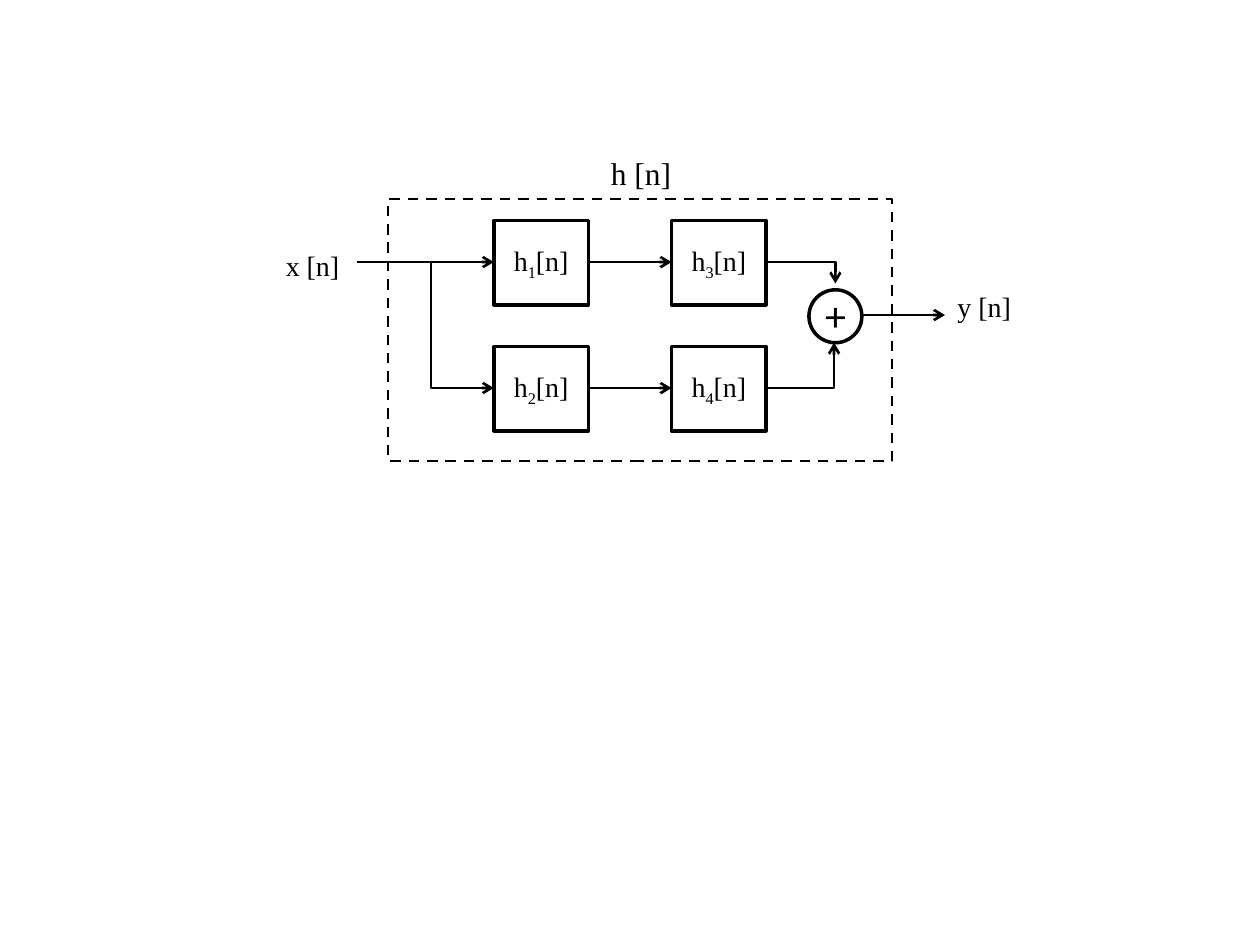
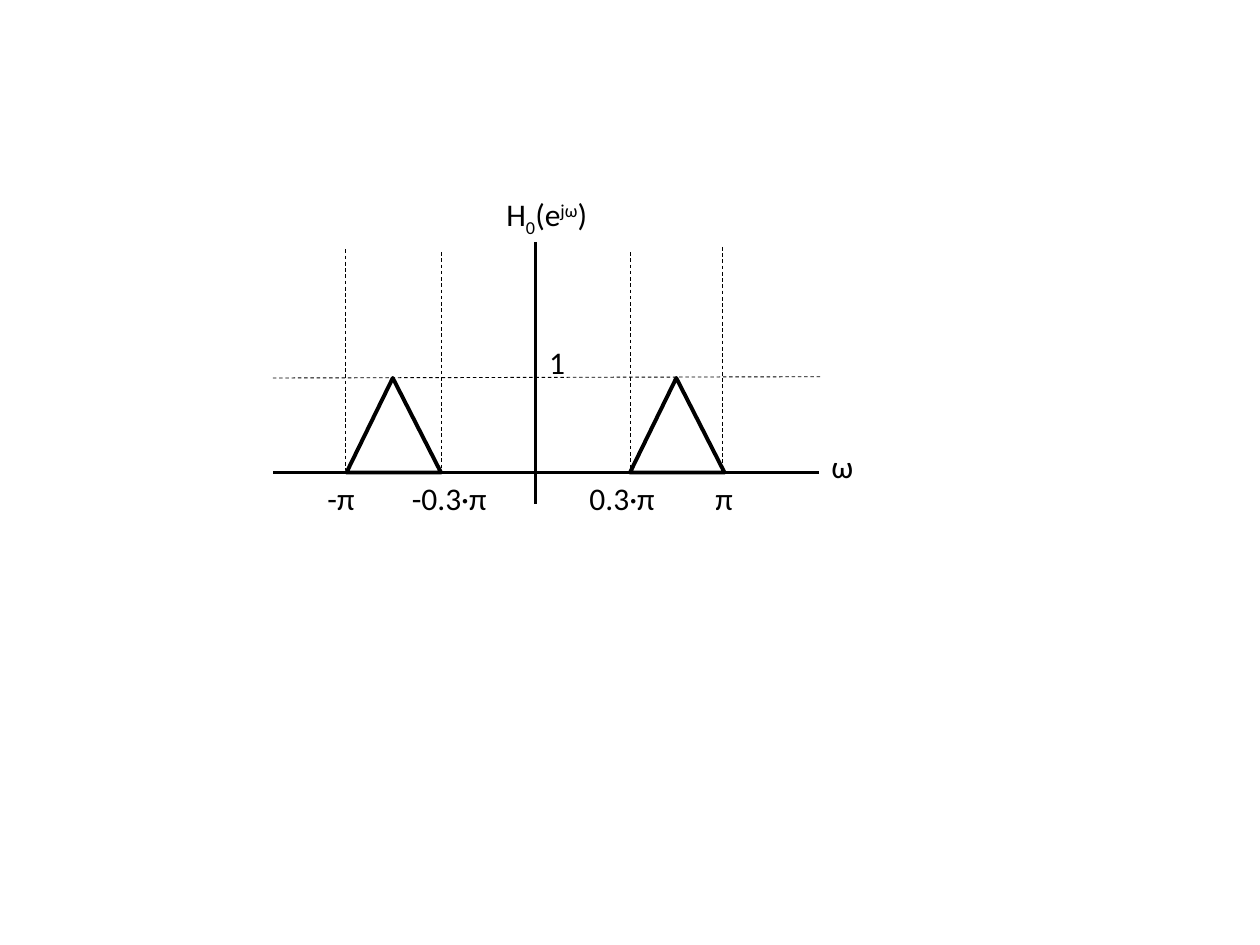
from dataclasses import dataclass
from typing import Optional

from lxml.etree import SubElement
from pptx import Presentation
from pptx.dml.color import RGBColor
from pptx.enum.dml import MSO_LINE
from pptx.enum.shapes import MSO_CONNECTOR, MSO_SHAPE
from pptx.enum.text import MSO_ANCHOR, MSO_AUTO_SIZE, PP_ALIGN
from pptx.oxml.ns import qn
from pptx.util import Inches, Pt

INK = "000000"
PAPER = "FFFFFF"
SERIF = "Times New Roman"
SANS = "Calibri"
SUB = -25
SUPER = 30


@dataclass
class Bit:
    text: str
    base: int = 0


@dataclass
class Label:
    left: float
    top: float
    width: float
    bits: list[Bit]
    size: int = 18
    font: str = SANS
    height: float = 0.4
    wrap: bool = False


@dataclass
class Wire:
    start: tuple[float, float]
    end: tuple[float, float]
    weight: float = 1.5
    dash: bool = False
    arrow: Optional[str] = None
    bent: bool = False


@dataclass
class Block:
    kind: MSO_SHAPE
    left: float
    top: float
    width: float
    height: float
    weight: float = 2
    dash: bool = False
    fill: Optional[str] = None


def paint(target, shade: str) -> None:
    """Give a fill a solid colour."""
    target.solid()
    target.fore_color.rgb = RGBColor.from_string(shade)


def stroke(line, weight: float, dash: bool) -> None:
    """Style a line with the shared ink."""
    paint(line.fill, INK)
    line.width = Pt(weight)
    if dash:
        line.dash_style = MSO_LINE.DASH


def write(para, bits: list[Bit], size: int, font: str) -> None:
    """Add the runs of a formula, raised or lowered where needed."""
    for bit in bits:
        run = para.add_run()
        run.text = bit.text
        run.font.size = Pt(size)
        run.font.name = font
        paint(run.font.fill, INK)
        if bit.base:
            run._r.get_or_add_rPr().set("baseline", str(bit.base * 1000))


def add_label(slide, label: Label) -> None:
    """Place a free text label."""
    box = slide.shapes.add_textbox(Inches(label.left), Inches(label.top),
                                   Inches(label.width), Inches(label.height))
    frame = box.text_frame
    frame.word_wrap = label.wrap
    frame.auto_size = MSO_AUTO_SIZE.SHAPE_TO_FIT_TEXT
    write(frame.paragraphs[0], label.bits, label.size, label.font)


def add_wire(slide, wire: Wire) -> None:
    """Draw a straight or one-bend line; a bend runs sideways first."""
    kind = MSO_CONNECTOR.ELBOW if wire.bent else MSO_CONNECTOR.STRAIGHT
    link = slide.shapes.add_connector(kind, *map(Inches, wire.start + wire.end))
    stroke(link.line, wire.weight, wire.dash)
    props = link._element.spPr
    if wire.bent:
        props.find(qn("a:prstGeom")).set("prst", "bentConnector2")
    if wire.arrow:
        SubElement(props.find(qn("a:ln")), qn(f"a:{wire.arrow}")).set("type", "arrow")
    SubElement(props, qn("a:effectLst"))


def add_block(slide, block: Block):
    """Draw an outlined shape and return it."""
    shape = slide.shapes.add_shape(block.kind, Inches(block.left), Inches(block.top),
                                   Inches(block.width), Inches(block.height))
    shape.shadow.inherit = False
    if block.fill:
        paint(shape.fill, block.fill)
    else:
        shape.fill.background()
    stroke(shape.line, block.weight, block.dash)
    return shape


def draw_system(slide) -> None:
    """Draw the block diagram of the parallel filter branches."""
    cols, rows = (3.92, 5.33), (1.75, 2.75)
    wide, high = 0.75, 0.67
    for i, left in enumerate(cols):
        for j, top in enumerate(rows):
            shape = add_block(slide, Block(MSO_SHAPE.RECTANGLE, left, top, wide, high))
            frame = shape.text_frame
            frame.vertical_anchor = MSO_ANCHOR.MIDDLE
            para = frame.paragraphs[0]
            para.alignment = PP_ALIGN.CENTER
            index = str(2 * i + j + 1)
            write(para, [Bit("h"), Bit(index, SUB), Bit("[n]")], 16, SERIF)

    upper, lower = (top + 0.33 for top in rows)
    gap, out = cols[0] + wide, cols[1] + wide
    wires = [
        Wire((2.83, upper), (cols[0], upper), arrow="tailEnd"),
        *(Wire((gap, y), (cols[1], y), arrow="tailEnd") for y in (upper, lower)),
        Wire((cols[0], lower), (3.42, upper), arrow="headEnd", bent=True),
        Wire((out, upper), (6.63, 2.25), arrow="tailEnd", bent=True),
        Wire((out, lower), (6.62, 2.72), arrow="tailEnd", bent=True),
        Wire((6.83, 2.5), (7.5, 2.5), arrow="tailEnd"),
    ]
    for wire in wires:
        add_wire(slide, wire)

    add_label(slide, Label(6.45, 2.25, 0.37, [Bit("+")], 24, height=0.5))
    add_block(slide, Block(MSO_SHAPE.OVAL, 6.42, 2.3, 0.42, 0.42))
    add_block(slide, Block(MSO_SHAPE.RECTANGLE, 3.08, 1.58, 4, 2.08, 1.5, True))
    add_label(slide, Label(2.17, 1.92, 0.66, [Bit("x [n]")], 16, SERIF, 0.37))
    add_label(slide, Label(7.5, 2.25, 0.66, [Bit("y [n]")], 16, SERIF, 0.37))
    add_label(slide, Label(4.75, 1.17, 0.72, [Bit("h [n]")], 18, SERIF))


def draw_graph(slide) -> None:
    """Draw the frequency response with its two triangular bands."""
    for left in (2.75, 5):
        peak = add_block(slide, Block(MSO_SHAPE.ISOSCELES_TRIANGLE, left, 3, 0.75, 0.75,
                                      2.25, fill=PAPER))
        peak.adjustments[0] = 0.49

    base = 3.75
    add_wire(slide, Wire((6.5, base), (2.17, base)))
    add_wire(slide, Wire((4.25, 1.92), (4.25, 4)))
    add_wire(slide, Wire((6.51, 2.99), (2.15, 3), 0.5, True))
    for x, top in ((2.74, 1.98), (3.5, 2), (5, 2), (5.73, 1.96)):
        add_wire(slide, Wire((x, top), (x, top + 1.75), 0.5, True))

    title = [Bit("H"), Bit("0", SUB), Bit("(e"), Bit("jω", SUPER), Bit(")")]
    add_label(slide, Label(3.92, 1.5, 1.08, title, wrap=True))
    add_label(slide, Label(6.5, 3.5, 0.38, [Bit("ω")]))
    add_label(slide, Label(4.26, 2.67, 0.33, [Bit("1")]))
    ticks = (("-π", 2.5, 0.42), ("-0.3·π", 3.17, 0.8),
             ("0.3·π", 4.58, 0.73), ("π", 5.58, 0.34))
    for text, left, width in ticks:
        add_label(slide, Label(left, base, width, [Bit(text)]))


def main() -> None:
    """Build both slides and save the file."""
    deck = Presentation()
    deck.slide_width, deck.slide_height = Inches(10), Inches(7.5)
    for draw in (draw_system, draw_graph):
        draw(deck.slides.add_slide(deck.slide_layouts[6]))
    deck.save("out.pptx")


if __name__ == "__main__":
    main()
